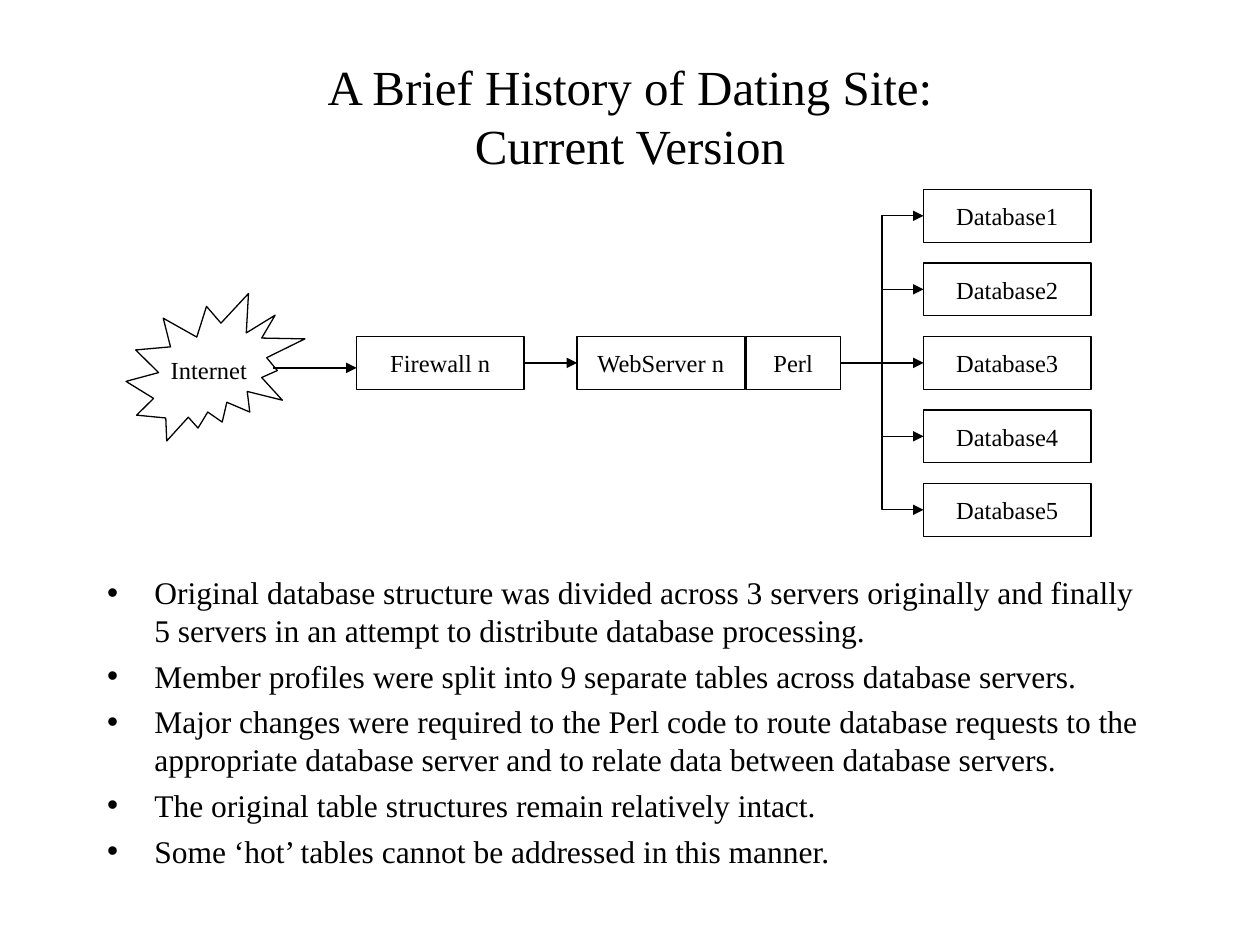
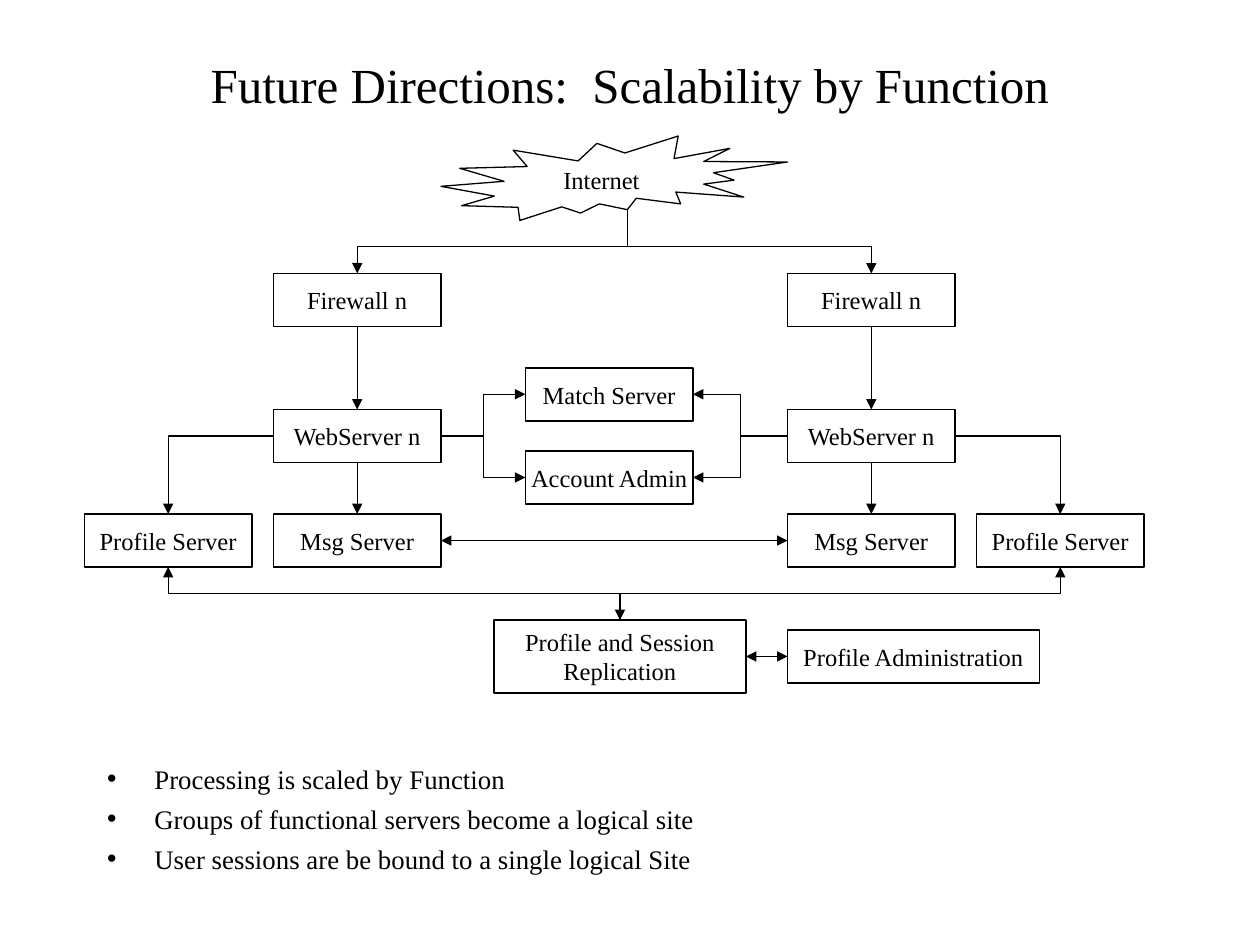
from lxml.etree import SubElement
from pptx import Presentation
from pptx.dml.color import RGBColor
from pptx.enum.shapes import MSO_CONNECTOR, MSO_SHAPE
from pptx.enum.text import MSO_ANCHOR, MSO_AUTO_SIZE, PP_ALIGN
from pptx.oxml.ns import qn
from pptx.util import Inches, Pt

COLORS = {"ink": "000000", "paper": "FFFFFF"}
FONT = "Times New Roman"
TITLE_SIZE, LABEL_SIZE = 28, 14
LINE_WIDTH = Pt(0.75)
BOX_WIDTH, BOX_HEIGHT = 1.33, 0.42


def color(name):
    return RGBColor.from_string(COLORS[name])


def add_text(paragraph, text, size):
    run = paragraph.add_run()
    run.text = text
    run.font.name = FONT
    run.font.size = Pt(size)
    run.font.color.rgb = color("ink")


def place(shape, left, top, width, height):
    shape.left, shape.top = Inches(left), Inches(top)
    shape.width, shape.height = Inches(width), Inches(height)


# Title and bullet list
def add_title(slide, lines, top, height):
    title = slide.shapes.title
    place(title, 0.75, top, 8.5, height)
    frame = title.text_frame
    frame.auto_size = MSO_AUTO_SIZE.NONE
    frame.vertical_anchor = MSO_ANCHOR.MIDDLE
    paragraph = frame.paragraphs[0]
    paragraph.alignment = PP_ALIGN.CENTER
    for index, line in enumerate(lines):
        if index:
            paragraph.add_line_break()
        add_text(paragraph, line, TITLE_SIZE)


def add_bullets(slide, items, top, height, size):
    body = slide.placeholders[1]
    place(body, 0.75, top, 8.5, height)
    frame = body.text_frame
    frame.auto_size = MSO_AUTO_SIZE.NONE
    for index, item in enumerate(items):
        paragraph = frame.add_paragraph() if index else frame.paragraphs[0]
        paragraph.space_before = Pt(4.5)
        add_text(paragraph, item, size)


# Diagram nodes
def add_node(slide, lines, left, top, width=BOX_WIDTH, height=BOX_HEIGHT,
             kind=MSO_SHAPE.FLOWCHART_PROCESS):
    node = slide.shapes.add_shape(kind, Inches(left), Inches(top),
                                  Inches(width), Inches(height))
    node.shadow.inherit = False
    node.fill.solid()
    node.fill.fore_color.rgb = color("paper")
    node.line.color.rgb = color("ink")
    node.line.width = LINE_WIDTH
    frame = node.text_frame
    frame.word_wrap = False
    frame.vertical_anchor = MSO_ANCHOR.MIDDLE
    for index, line in enumerate(lines.split("\n")):
        paragraph = frame.add_paragraph() if index else frame.paragraphs[0]
        paragraph.alignment = PP_ALIGN.CENTER
        add_text(paragraph, line, LABEL_SIZE)
    return node


def add_internet(slide, left, top, width, height):
    return add_node(slide, "Internet", left, top, width, height,
                    MSO_SHAPE.EXPLOSION2)


def edge(node, side):
    """Middle point of one side of a node."""
    middle_x = node.left + node.width // 2
    middle_y = node.top + node.height // 2
    return {
        "left": (node.left, middle_y),
        "right": (node.left + node.width, middle_y),
        "top": (middle_x, node.top),
        "bottom": (middle_x, node.top + node.height),
    }[side]


# Arrows
def add_arrow(slide, start, end, kind=MSO_CONNECTOR.STRAIGHT, both=False):
    connector = slide.shapes.add_connector(kind, *start, *end)
    connector.line.color.rgb = color("ink")
    connector.line.width = LINE_WIDTH
    properties = connector.element.spPr
    line = properties.find(qn("a:ln"))
    for tag in ["a:headEnd", "a:tailEnd"] if both else ["a:tailEnd"]:
        SubElement(line, qn(tag), type="triangle")
    SubElement(properties, qn("a:effectLst"))
    return connector


def add_step(slide, start, end):
    """Across, then up or down, then across."""
    return add_arrow(slide, start, end, MSO_CONNECTOR.ELBOW)


def add_corner(slide, start, end):
    """Across, then down, with a single bend."""
    connector = add_step(slide, start, end)
    geometry = connector.element.spPr.find(qn("a:prstGeom"))
    geometry.set("prst", "bentConnector2")


def add_drop(slide, start, end, bend=0.5, both=False):
    """Up or down, then across, then up or down: a step turned on its side."""
    connector = add_arrow(slide, start, end, MSO_CONNECTOR.ELBOW, both)
    across, down = end[0] - start[0], end[1] - start[1]
    connector.width, connector.height = abs(down), abs(across)
    connector.left = (start[0] + end[0] - abs(down)) // 2
    connector.top = (start[1] + end[1] - abs(across)) // 2
    properties = connector.element.spPr
    transform = properties.find(qn("a:xfrm"))
    transform.set("rot", str((90 if down > 0 else 270) * 60000))
    transform.set("flipH", "0")
    transform.set("flipV", "1" if (across > 0) == (down > 0) else "0")
    adjustments = properties.find(qn("a:prstGeom")).find(qn("a:avLst"))
    SubElement(adjustments, qn("a:gd"), name="adj1",
               fmla=f"val {round(bend * 100000)}")


# Slides
def build_current_version(presentation):
    slide = presentation.slides.add_slide(presentation.slide_layouts[1])
    add_title(slide, ["A Brief History of Dating Site:", "Current Version"],
              0.5, 0.83)

    row = 2.67
    add_internet(slide, 1, 2.33, 1.42, 1.17)
    firewall = add_node(slide, "Firewall n", 2.83, row)
    web_server = add_node(slide, "WebServer n", 4.58, row)
    perl = add_node(slide, "Perl", 5.92, row, 0.75)
    add_arrow(slide, (Inches(2.17), Inches(2.92)),
              (firewall.left, Inches(2.92)))
    add_arrow(slide, edge(firewall, "right"), edge(web_server, "left"))

    # Five databases, evenly spaced around the middle row
    for number in range(1, 6):
        top = row + (number - 3) * 7 / 12
        database = add_node(slide, f"Database{number}", 7.33, top)
        link = add_arrow if number == 3 else add_step
        link(slide, edge(perl, "right"), edge(database, "left"))

    add_bullets(slide, [
        "Original database structure was divided across 3 servers originally "
        "and finally 5 servers in an attempt to distribute database processing.",
        "Member profiles were split into 9 separate tables across database "
        "servers.",
        "Major changes were required to the Perl code to route database "
        "requests to the appropriate database server and to relate data "
        "between database servers.",
        "The original table structures remain relatively intact.",
        "Some ‘hot’ tables cannot be addressed in this manner.",
    ], 4.5, 2.5, 18)


def build_scalability(presentation):
    slide = presentation.slides.add_slide(presentation.slide_layouts[1])
    add_title(slide, ["Future Directions:  Scalability by Function"],
              0.33, 0.67)

    # Shared parts in the middle
    add_internet(slide, 3.5, 1.08, 2.75, 0.67)
    internet_exit = Inches(4.98), Inches(1.66)
    shared = [add_node(slide, "Match Server", 4.17, 2.92),
              add_node(slide, "Account Admin", 4.17, 3.58)]
    replication = add_node(slide, "Profile and Session\nReplication",
                           3.92, 4.92, 2, 0.58)
    administration = add_node(slide, "Profile Administration", 6.25, 5, 2)

    # Two mirrored logical sites
    message_servers = []
    for column, profile_left, inner, outer in [
            (2.17, 0.67, "right", "left"), (6.25, 7.75, "left", "right")]:
        firewall = add_node(slide, "Firewall n", column, 2.17)
        web_server = add_node(slide, "WebServer n", column, 3.25)
        message_server = add_node(slide, "Msg Server", column, 4.08)
        profile_server = add_node(slide, "Profile Server", profile_left, 4.08)
        message_servers.append(message_server)

        add_drop(slide, internet_exit, edge(firewall, "top"), bend=0.58)
        for upper, lower in [(firewall, web_server),
                             (web_server, message_server)]:
            add_arrow(slide, edge(upper, "bottom"), edge(lower, "top"))
        for server in shared:
            add_step(slide, edge(web_server, inner), edge(server, outer))
        add_corner(slide, edge(web_server, outer), edge(profile_server, "top"))
        add_drop(slide, edge(replication, "top"),
                 edge(profile_server, "bottom"), both=outer == "right")

    add_arrow(slide, edge(message_servers[0], "right"),
              edge(message_servers[1], "left"), both=True)
    add_arrow(slide, edge(administration, "left"),
              edge(replication, "right"), both=True)

    add_bullets(slide, [
        "Processing is scaled by Function",
        "Groups of functional servers become a logical site",
        "User sessions are be bound to a single logical Site",
    ], 6, 1, 15.3)


def main():
    presentation = Presentation()
    presentation.slide_width = Inches(10)
    presentation.slide_height = Inches(7.5)
    build_current_version(presentation)
    build_scalability(presentation)
    presentation.save("out.pptx")


if __name__ == "__main__":
    main()
